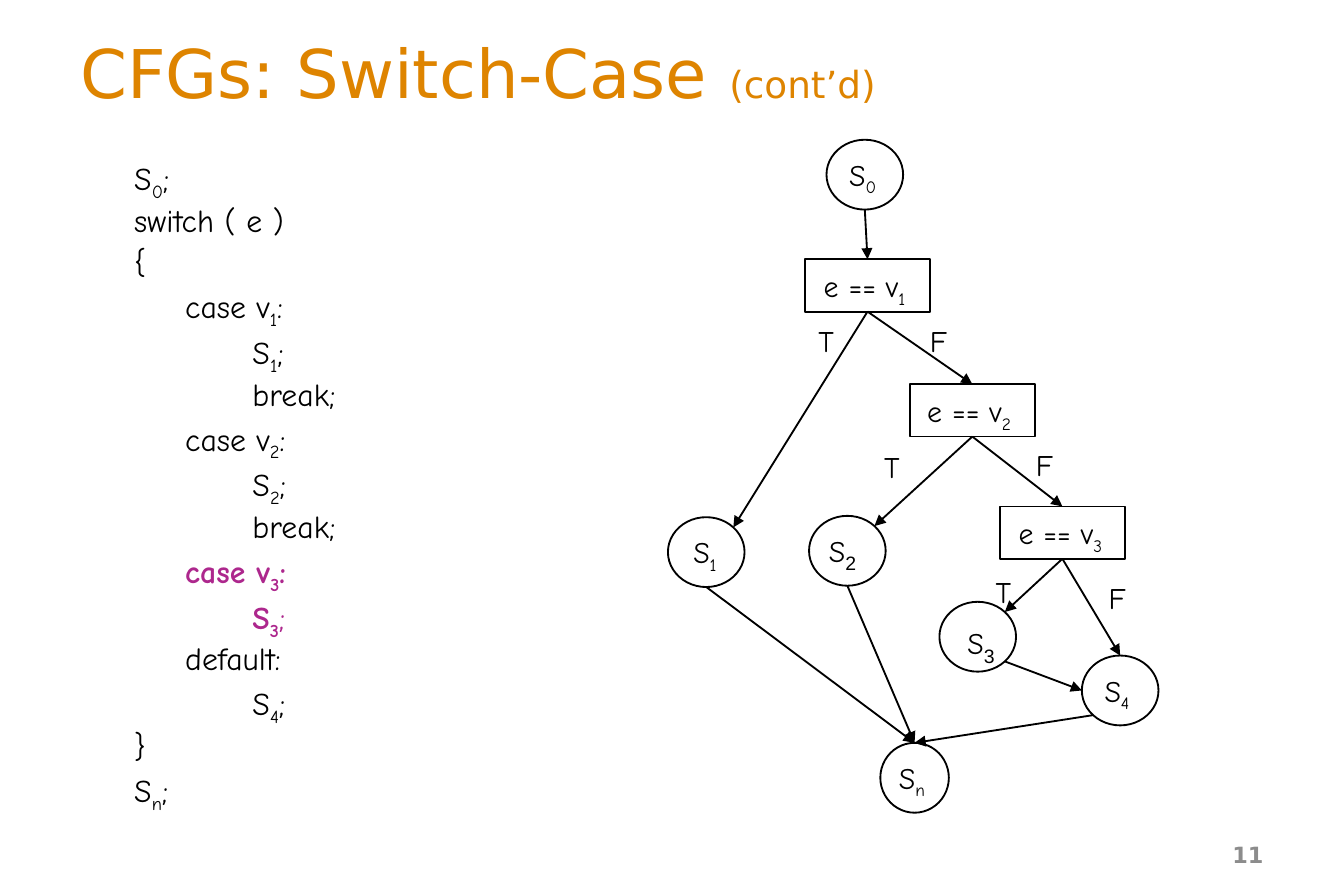
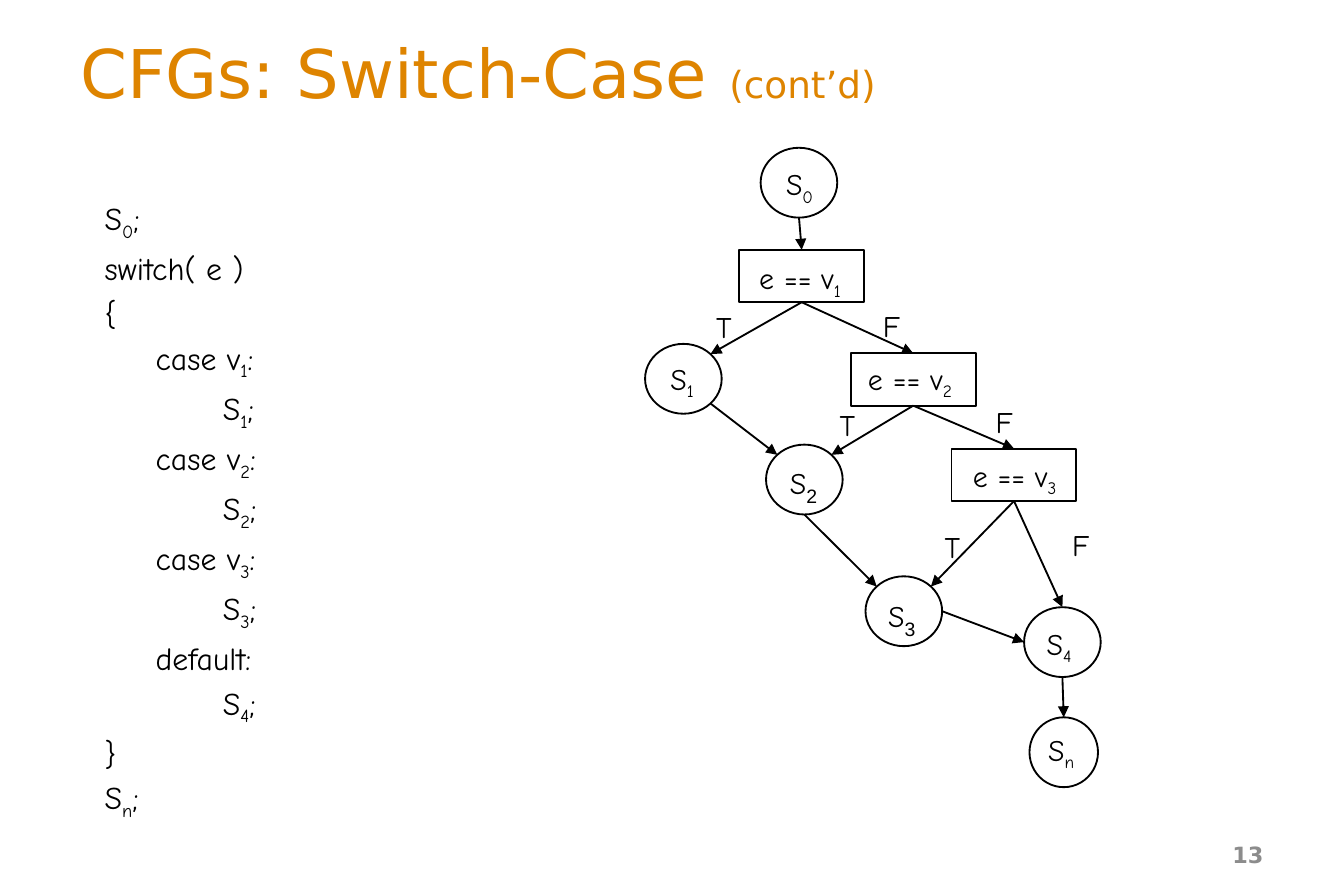
import math

import pptx
import pptx.dml.color
import pptx.enum.shapes
import pptx.enum.text
import pptx.oxml.xmlchemy
import pptx.util
from pptx.util import Inches

BLACK = pptx.dml.color.RGBColor(0x00, 0x00, 0x00)
ORANGE = pptx.dml.color.RGBColor(0xDE, 0x84, 0x00)
PURPLE = pptx.dml.color.RGBColor(0xAD, 0x27, 0x8D)
GRAY = pptx.dml.color.RGBColor(0x8C, 0x8C, 0x8C)

HEADING_FONT = "DejaVu Sans"
CODE_FONT = "Comic Neue"
DIGIT_FONT = "Arial"

CIRCLE_SIZE = (0.57, 0.52)
END_SIZE = (0.51, 0.52)
TEST_SIZE = (0.93, 0.39)
LABEL_WIDTHS = {"S_0": 1.02, "S_1": 0.61, "S_2": 0.46, "S_3": 0.46, "S_4": 0.76, "S_n": 0.83}
TEST_LABEL_WIDTH = 1.02
LABEL_HEIGHT = 0.34

DIAGONAL = math.sqrt(0.5)
SIDES = {
    "top": (0, -1),
    "bottom": (0, 1),
    "left": (-1, 0),
    "right": (1, 0),
    "top left": (-DIAGONAL, -DIAGONAL),
    "top right": (DIAGONAL, -DIAGONAL),
    "bottom left": (-DIAGONAL, DIAGONAL),
    "bottom right": (DIAGONAL, DIAGONAL),
}
RECTANGLE_SITES = {"top": 0, "left": 1, "bottom": 2, "right": 3}

TEST_EDGES = [
    ("S_0", "bottom", "e == v_1", "top"),
    ("e == v_1", "bottom", "S_1", "top right"),
    ("e == v_1", "bottom", "e == v_2", "top"),
    ("e == v_2", "bottom", "S_2", "top right"),
    ("e == v_2", "bottom", "e == v_3", "top"),
    ("e == v_3", "bottom", "S_3", "top right"),
    ("e == v_3", "bottom", "S_4", "top"),
]

BREAK_CODE = [
    "S_0;", "switch ( e )", "{",
    "\tcase v_1:", "\t\tS_1;", "\t\tbreak;",
    "\tcase v_2:", "\t\tS_2;", "\t\tbreak;",
    "\tcase v_3:", "\t\tS_3;",
    "\tdefault:", "\t\tS_4;", "}", "S_n;",
]
BREAK_NODES = {
    "S_0": (6.15, 1.04, 6.22, 1.12),
    "e == v_1": (5.99, 1.93, 6.03, 1.95),
    "e == v_2": (6.77, 2.86, 6.8, 2.88),
    "e == v_3": (7.44, 3.77, 7.48, 3.79),
    "S_1": (4.97, 3.85, 5.06, 3.93),
    "S_2": (6.02, 3.84, 6.07, 3.89),
    "S_3": (6.99, 4.48, 7.1, 4.58),
    "S_4": (8.05, 4.88, 8.12, 4.96),
    "S_n": (6.55, 5.53, 6.59, 5.61),
}
BREAK_EDGES = [
    ("S_1", "bottom", "S_n", "top"),
    ("S_2", "bottom", "S_n", "top"),
    ("S_3", "bottom right", "S_4", "left"),
    ("S_4", "bottom left", "S_n", "top"),
]
BREAK_BRANCHES = [
    ("T", 5.99, 2.38, 1.1), ("F", 6.82, 2.38, 0.53),
    ("T", 6.48, 3.32, 1.1), ("F", 7.61, 3.31, 0.53),
    ("T", 7.31, 4.25, 0.6), ("F", 8.15, 4.3, 0.36),
]

FALL_CODE = [
    "S_0;", "switch( e )", "{",
    "\tcase v_1:", "\t\tS_1;",
    "\tcase v_2:", "\t\tS_2;",
    "\tcase v_3:", "\t\tS_3;",
    "\tdefault:", "\t\tS_4;", "}", "S_n;",
]
FALL_NODES = {
    "S_0": (5.66, 1.1, 5.75, 1.19),
    "e == v_1": (5.5, 1.86, 5.55, 1.89),
    "e == v_2": (6.33, 2.63, 6.36, 2.64),
    "e == v_3": (7.08, 3.34, 7.14, 3.36),
    "S_1": (4.8, 2.56, 4.89, 2.64),
    "S_2": (5.7, 3.31, 5.78, 3.39),
    "S_3": (6.44, 4.29, 6.51, 4.38),
    "S_4": (7.62, 4.52, 7.69, 4.61),
    "S_n": (7.66, 5.34, 7.7, 5.4),
}
FALL_EDGES = [
    ("S_1", "bottom right", "S_2", "top left"),
    ("S_2", "bottom", "S_3", "top left"),
    ("S_3", "right", "S_4", "left"),
    ("S_4", "bottom", "S_n", "top"),
]
FALL_BRANCHES = [
    ("T", 5.23, 2.28, 1.1), ("F", 6.47, 2.27, 0.53),
    ("T", 6.15, 3.01, 0.47), ("F", 7.31, 2.99, 0.53),
    ("T", 6.93, 3.92, 0.6), ("F", 7.88, 3.9, 0.36),
]


def add_box(page, left, top, width, height, anchor=pptx.enum.text.MSO_ANCHOR.TOP):
    box = page.shapes.add_textbox(Inches(left), Inches(top), Inches(width), Inches(height))
    frame = box.text_frame
    frame.word_wrap = True
    frame.vertical_anchor = anchor
    return frame


def add_span(para, text, size, font, color=BLACK, bold=False, subscript=False):
    span = para.add_run()
    span.text = text
    span.font.size = pptx.util.Pt(size)
    span.font.name = font
    span.font.color.rgb = color
    span.font.bold = bold
    if subscript:
        span.font._element.set("baseline", "-25000")


def add_title(page):
    frame = add_box(page, 0.5, 0.27, 9, 0.53, pptx.enum.text.MSO_ANCHOR.MIDDLE)
    para = frame.paragraphs[0]
    add_span(para, "CFGs: Switch-Case ", 36, HEADING_FONT, ORANGE)
    add_span(para, "(cont’d)", 20, HEADING_FONT, ORANGE)


def add_page_number(page, number):
    frame = add_box(page, 7.17, 6.18, 2.33, 0.36, pptx.enum.text.MSO_ANCHOR.MIDDLE)
    para = frame.paragraphs[0]
    para.alignment = pptx.enum.text.PP_ALIGN.RIGHT
    add_span(para, number, 12, HEADING_FONT, GRAY, bold=True)


def add_code(page, left, top, lines, spacing, accented=()):
    frame = add_box(page, left, top, 2.79, 5.05)
    for index, line in enumerate(lines):
        para = frame.add_paragraph() if index else frame.paragraphs[0]
        properties = para._p.get_or_add_pPr()
        properties.set("marL", str(Inches(0.38)))
        properties.set("indent", str(Inches(-0.38)))
        para.line_spacing = spacing
        para.space_before = pptx.util.Pt(3.6 if index else 0)
        bold = line in accented
        color = PURPLE if bold else BLACK
        text, mark, rest = line.partition("_")
        add_span(para, text, 17, CODE_FONT, color, bold)
        if mark:
            add_span(para, rest[0], 17, CODE_FONT, color, bold, subscript=True)
            add_span(para, rest[1:], 17, CODE_FONT, color, bold and rest[1:] == ":")


def add_label(page, text, left, top, width):
    para = add_box(page, left, top, width, LABEL_HEIGHT).paragraphs[0]
    para.line_spacing = 0.9
    base, mark, digit = text.partition("_")
    add_span(para, base, 16, CODE_FONT)
    if mark:
        size, font = (18, DIGIT_FONT) if text in ("S_2", "S_3") else (16, CODE_FONT)
        add_span(para, digit, size, font, subscript=True)


def add_node(page, name, left, top, label_left, label_top):
    shapes = pptx.enum.shapes.MSO_SHAPE
    if name.startswith("e"):
        kind, size = shapes.RECTANGLE, TEST_SIZE
    else:
        kind, size = shapes.OVAL, END_SIZE if name == "S_n" else CIRCLE_SIZE
    node = page.shapes.add_shape(kind, Inches(left), Inches(top), *map(Inches, size))
    node.shadow.inherit = False
    node.fill.background()
    node.line.color.rgb = BLACK
    node.line.width = pptx.util.Pt(1)
    add_label(page, name, label_left, label_top, LABEL_WIDTHS.get(name, TEST_LABEL_WIDTH))
    return node


def side_point(node, side):
    across, down = SIDES[side]
    return (
        round(node.left + node.width * (1 + across) / 2),
        round(node.top + node.height * (1 + down) / 2),
    )


def is_rectangle(node):
    return node.auto_shape_type == pptx.enum.shapes.MSO_SHAPE.RECTANGLE


def add_arrow(page, source, source_side, target, target_side):
    arrow = page.shapes.add_connector(
        pptx.enum.shapes.MSO_CONNECTOR.STRAIGHT,
        *side_point(source, source_side),
        *side_point(target, target_side),
    )
    if is_rectangle(source):
        arrow.begin_connect(source, RECTANGLE_SITES[source_side])
    if is_rectangle(target):
        arrow.end_connect(target, RECTANGLE_SITES[target_side])
    arrow.line.color.rgb = BLACK
    arrow.line.width = pptx.util.Pt(1)
    head = pptx.oxml.xmlchemy.OxmlElement("a:tailEnd")
    head.set("type", "triangle")
    arrow.line._get_or_add_ln().append(head)
    arrow._element.spPr.append(pptx.oxml.xmlchemy.OxmlElement("a:effectLst"))


def add_graph(page, places, edges, branches):
    nodes = {name: add_node(page, name, *place) for name, place in places.items()}
    for source, source_side, target, target_side in TEST_EDGES + edges:
        add_arrow(page, nodes[source], source_side, nodes[target], target_side)
    for branch in branches:
        add_label(page, *branch)


def add_page(deck, number):
    page = deck.slides.add_slide(deck.slide_layouts[6])
    add_title(page)
    add_page_number(page, number)
    return page


def main():
    deck = pptx.Presentation()
    deck.slide_width = Inches(10)
    deck.slide_height = Inches(6.67)

    page = add_page(deck, "11")
    add_code(page, 0.9, 1.14, BREAK_CODE, 0.9, accented=("\tcase v_3:", "\t\tS_3;"))
    add_graph(page, BREAK_NODES, BREAK_EDGES, BREAK_BRANCHES)

    page = add_page(deck, "13")
    add_code(page, 0.68, 1.43, FALL_CODE, 1.0)
    add_graph(page, FALL_NODES, FALL_EDGES, FALL_BRANCHES)

    deck.save("out.pptx")


if __name__ == "__main__":
    main()
